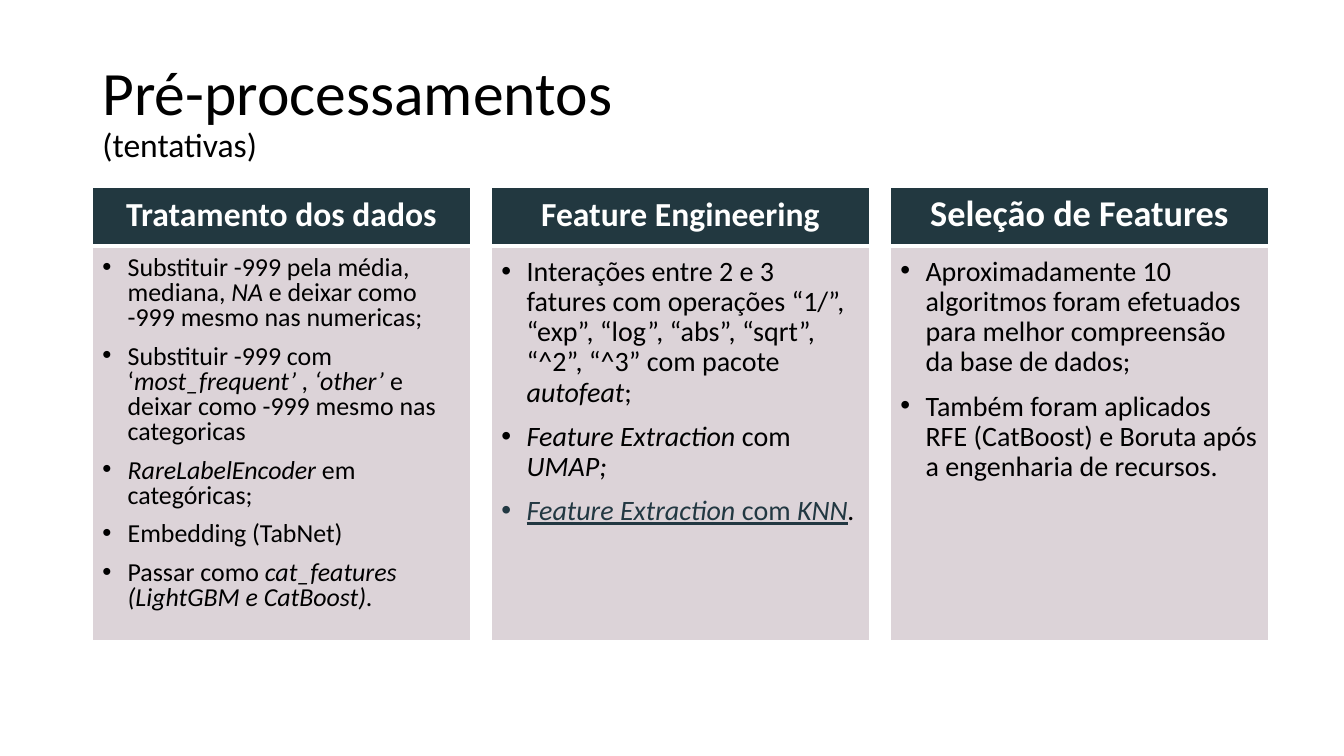
from pptx import Presentation
from pptx.dml.color import RGBColor
from pptx.enum.text import MSO_ANCHOR as ANCHOR, MSO_AUTO_SIZE as AUTO, PP_ALIGN as ALIGN
from pptx.oxml import parse_xml
from pptx.oxml.ns import nsdecls
from pptx.util import Pt

FONT = "Calibri"
COLORS = {"black": "000000", "white": "FFFFFF", "head": "223840",
          "panel": "DCD3D8", "link": "223842"}

# Runs are (text, style): "i" is italic, "u" is underlined in the link colour.
TITLE = [("Pré-processamentos ", 44), ("(tentativas)", 24)]
COLUMNS = [
    {"head": "Tratamento dos dados", "head_size": 24, "head_spacing": 0.9,
     "size": 18.5, "spacing": 0.8, "items": [
         [("Substituir -999 pela média, mediana, ", ""), ("NA", "i"),
          (" e deixar como -999 mesmo nas numericas;", "")],
         [("Substituir -999 com ‘", ""), ("most_frequent’ , ‘other’", "i"),
          (" e deixar como -999 mesmo nas categoricas", "")],
         [("RareLabelEncoder", "i"), (" em categóricas;", "")],
         [("Embedding (TabNet)", "")],
         [("Passar como ", ""), ("cat_features (LightGBM e CatBoost).", "i")]]},
    {"head": "Feature Engineering", "head_size": 24, "head_spacing": 0.9,
     "size": 20, "spacing": 0.9, "items": [
         [("Interações entre 2 e 3 fatures com operações “1/”, “exp”, “log”, "
           "“abs”, “sqrt”, “^2”, “^3” com pacote ", ""), ("autofeat", "i"), (";", "")],
         [("Feature Extraction ", "i"), ("com ", ""), ("UMAP;", "i")],
         [("Feature Extraction ", "iu"), ("com ", "u"), ("KNN", "iu"), (".", "i")]]},
    {"head": "Seleção de Features", "head_size": 25.9, "head_spacing": 0.8,
     "size": 20, "spacing": 0.9, "items": [
         [("Aproximadamente 10 algoritmos foram efetuados para melhor "
           "compreensão da base de dados;", "")],
         [("Também foram aplicados RFE (CatBoost) e Boruta após a engenharia "
           "de recursos.", "")]]},
]

LEFT, STEP, WIDTH = 66, 285, 270
TABLE_TOP, ROW_HEIGHTS = 133.5, (42, 282)
HEAD_TOP, HEAD_HEIGHT = 136, 34.5
BODY_TOP, BODY_HEIGHT = 180, 277


def place(sp, x, y, w, h, anchor):
    """Move a text shape and fix its wrapping and anchoring."""
    sp.left, sp.top, sp.width, sp.height = Pt(x), Pt(y), Pt(w), Pt(h)
    tf = sp.text_frame
    tf.auto_size = AUTO.NONE
    tf.word_wrap = True
    tf.vertical_anchor = anchor
    return tf


def style_run(r, size, color, bold=False, italic=False, underline=False):
    r.font.name, r.font.size = FONT, Pt(size)
    r.font.bold, r.font.italic, r.font.underline = bold, italic, underline
    r.font.color.rgb = RGBColor.from_string(COLORS[color])


def add_borders(cell, widths):
    for side, width in widths.items():
        cell.fill._xPr.insert(
            len(cell.fill._xPr) - 1,
            parse_xml(f'<a:{side} {nsdecls("a")} w="{Pt(width)}"><a:solidFill>'
                      f'<a:srgbClr val="{COLORS["white"]}"/></a:solidFill></a:{side}>'))


def add_panel(s, x):
    """Add the two-row table that lies behind a column's text."""
    frame = s.shapes.add_table(2, 1, Pt(x), Pt(TABLE_TOP), Pt(WIDTH), Pt(sum(ROW_HEIGHTS)))
    table = frame.table
    table.first_row = table.horz_banding = False
    rows = zip(ROW_HEIGHTS, ("head", "panel"), ((1, 3), (3, 1)))
    for i, (height, color, (top, bottom)) in enumerate(rows):
        table.rows[i].height = Pt(height)
        cell = table.cell(i, 0)
        cell.fill.solid()
        cell.fill.fore_color.rgb = RGBColor.from_string(COLORS[color])
        add_borders(cell, {"lnL": 1, "lnR": 1, "lnT": top, "lnB": bottom})
    frame.element.getparent().insert(2, frame.element)


def fill_head(tf, column):
    tf.text = column["head"]
    p = tf.paragraphs[0]
    p.alignment, p.line_spacing, p.space_before = ALIGN.CENTER, column["head_spacing"], Pt(0)
    style_run(p.runs[0], column["head_size"], "white", bold=True)


def fill_list(tf, column):
    for i, item in enumerate(column["items"]):
        p = tf.add_paragraph() if i else tf.paragraphs[0]
        p.alignment, p.line_spacing = ALIGN.LEFT, column["spacing"]
        p.space_before = Pt(10 if i else 0)
        pPr = p._p.get_or_add_pPr()
        pPr.set("marL", str(Pt(18)))
        pPr.set("indent", str(-Pt(18)))
        pPr.append(parse_xml(f'<a:buFont {nsdecls("a")} typeface="Arial"/>'))
        pPr.append(parse_xml(f'<a:buChar {nsdecls("a")} char="•"/>'))
        for text, style in item:
            r = p.add_run()
            r.text = text
            linked = "u" in style
            style_run(r, column["size"], "link" if linked else "black",
                      italic="i" in style, underline=linked)


def main():
    prs = Presentation()
    prs.slide_width, prs.slide_height = Pt(960), Pt(540)
    s = prs.slides.add_slide(prs.slide_layouts[4])  # Comparison
    title, *bodies = list(s.placeholders)[:5]

    tf = place(title, LEFT, 29, 828, 104.5, ANCHOR.MIDDLE)
    tf.text = "\v".join(text for text, _ in TITLE)
    p = tf.paragraphs[0]
    p.alignment, p.line_spacing = ALIGN.LEFT, 0.9
    for r, (_, size) in zip(p.runs, TITLE):
        style_run(r, size, "black")

    # The layout holds two head and list pairs; the third pair is text boxes.
    bodies += [s.shapes.add_textbox(0, 0, 0, 0) for _ in range(2)]
    for i, column in enumerate(COLUMNS):
        x = LEFT + i * STEP
        add_panel(s, x)
        head, body = bodies[2 * i:2 * i + 2]
        fill_head(place(head, x, HEAD_TOP, WIDTH, HEAD_HEIGHT, ANCHOR.BOTTOM), column)
        fill_list(place(body, x, BODY_TOP, WIDTH, BODY_HEIGHT, ANCHOR.TOP), column)

    prs.save("out.pptx")


if __name__ == "__main__":
    main()
